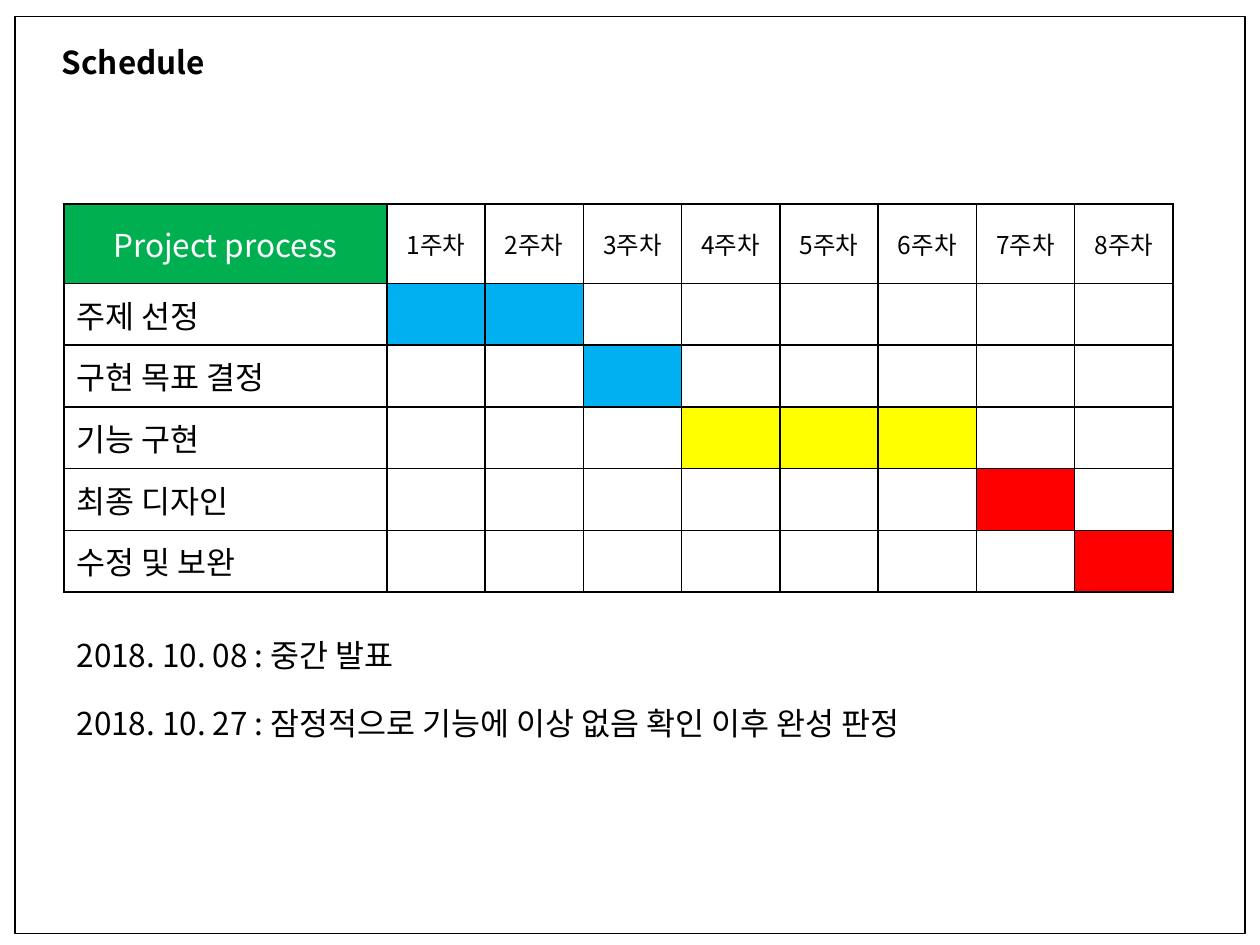
from lxml import etree
from pptx import Presentation
from pptx.dml.color import RGBColor
from pptx.enum.shapes import MSO_SHAPE
from pptx.enum.text import MSO_ANCHOR, PP_ALIGN
from pptx.oxml import parse_xml
from pptx.oxml.ns import nsdecls, qn
from pptx.util import Inches, Pt

COLORS = {
    "black": "000000",
    "white": "FFFFFF",
    "green": "00B050",
    "blue": "00B0F0",
    "yellow": "FFFF00",
    "red": "FF0000",
}
FONT = "Noto Sans CJK KR"
WEEKS = 8
TASKS = [
    ("주제 선정", "blue", 1, 2),
    ("구현 목표 결정", "blue", 3, 3),
    ("기능 구현", "yellow", 4, 6),
    ("최종 디자인", "red", 7, 7),
    ("수정 및 보완", "red", 8, 8),
]
NOTES = [
    "2018. 10. 08 : 중간 발표",
    "2018. 10. 27 : 잠정적으로 기능에 이상 없음 확인 이후 완성 판정",
]


def write(para, text, size=18, color="black", bold=False, align=PP_ALIGN.LEFT):
    para.text = text
    para.alignment = align
    font = para.font
    font.name = FONT
    font.size = Pt(size)
    font.bold = bold
    font.color.rgb = RGBColor.from_string(COLORS[color])
    east_asian = etree.SubElement(para._p.pPr.find(qn("a:defRPr")), qn("a:ea"))
    east_asian.set("typeface", FONT)


def style_cell(cell, fill=None):
    cell.vertical_anchor = MSO_ANCHOR.MIDDLE
    properties = cell._tc.get_or_add_tcPr()
    for side in ("lnL", "lnR", "lnT", "lnB"):
        properties.append(parse_xml(
            f'<a:{side} {nsdecls("a")} w="{Pt(1)}"><a:solidFill>'
            f'<a:srgbClr val="{COLORS["black"]}"/></a:solidFill></a:{side}>'
        ))
    if fill:
        cell.fill.solid()
        cell.fill.fore_color.rgb = RGBColor.from_string(COLORS[fill])
    else:
        cell.fill.background()


deck = Presentation()
deck.slide_width = Inches(10)
deck.slide_height = Inches(7.5)
page = deck.slides.add_slide(deck.slide_layouts[5])

title = page.shapes.title
title.left, title.top = Inches(0.39), Inches(0.29)
title.width, title.height = Inches(2.42), Inches(0.4)
title.text_frame.vertical_anchor = MSO_ANCHOR.MIDDLE
write(title.text_frame.paragraphs[0], "Schedule", bold=True)

frame = page.shapes.add_shape(
    MSO_SHAPE.RECTANGLE, Inches(0.12), Inches(0.13), Inches(9.76), Inches(7.28)
)
frame.shadow.inherit = False
frame.fill.background()
frame.line.color.rgb = RGBColor.from_string(COLORS["black"])
frame.line.width = Pt(1)

table = page.shapes.add_table(
    len(TASKS) + 1, WEEKS + 1, Inches(0.51), Inches(1.62), Inches(8.82), Inches(3.08)
).table
table.horz_banding = False
for index, column in enumerate(table.columns):
    column.width = Inches(0.78 if index else 2.56)
for index, row in enumerate(table.rows):
    row.height = Inches(0.49 if index else 0.63)

heading = table.cell(0, 0)
style_cell(heading, "green")
write(heading.text_frame.paragraphs[0], "Project process", color="white", align=PP_ALIGN.CENTER)
for week in range(1, WEEKS + 1):
    cell = table.cell(0, week)
    style_cell(cell)
    write(cell.text_frame.paragraphs[0], f"{week}주차", size=14, align=PP_ALIGN.CENTER)

for row, (task, color, first, last) in enumerate(TASKS, start=1):
    cell = table.cell(row, 0)
    style_cell(cell)
    write(cell.text_frame.paragraphs[0], task)
    for week in range(1, WEEKS + 1):
        style_cell(table.cell(row, week), color if first <= week <= last else None)

box = page.shapes.add_textbox(Inches(0.51), Inches(5), Inches(8.27), Inches(1.01))
box.text_frame.word_wrap = True
for index, note in enumerate(NOTES):
    para = box.text_frame.add_paragraph() if index else box.text_frame.paragraphs[0]
    if index:
        para.space_before = Pt(17)
    write(para, note)

deck.save("out.pptx")
